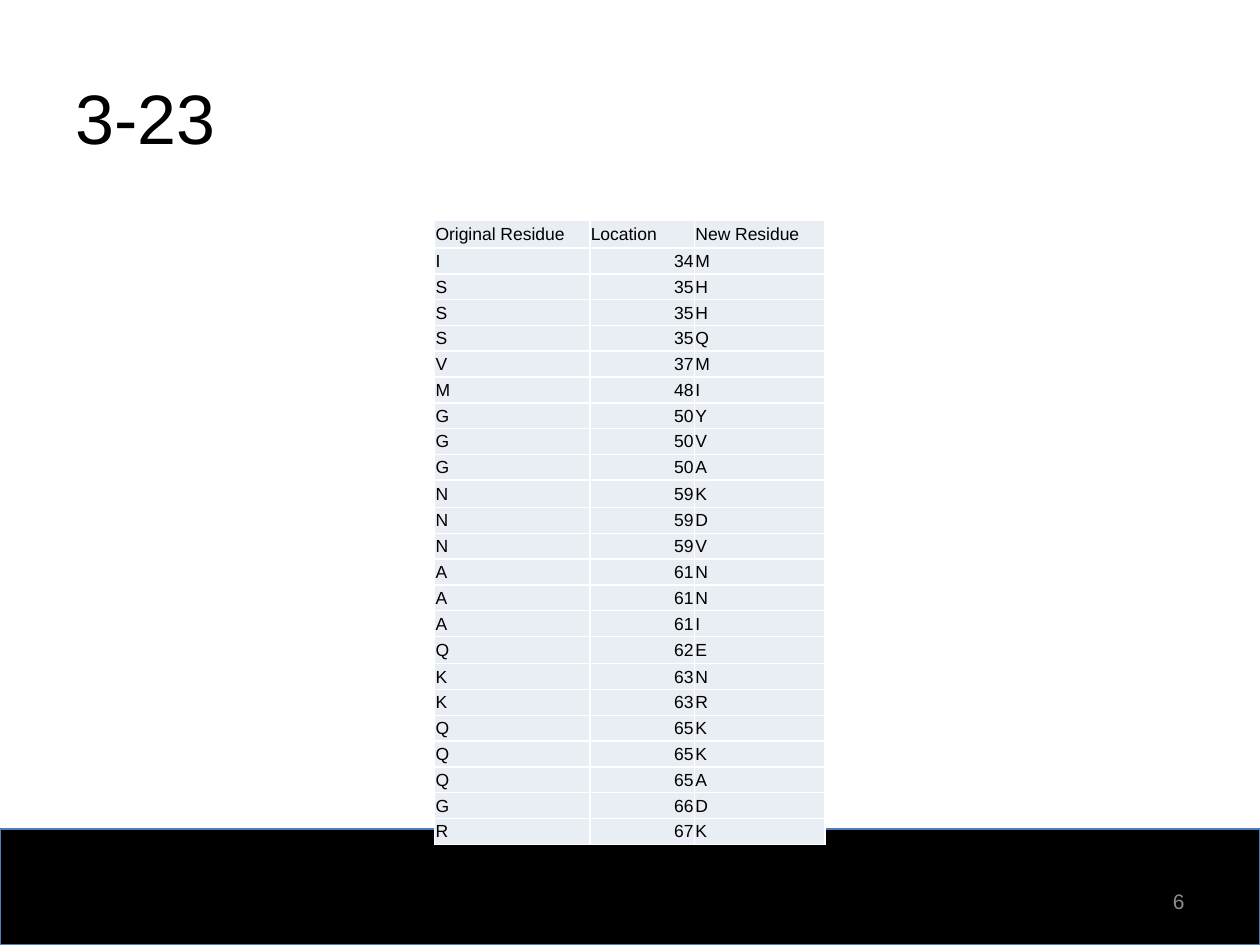
"""Build the 3-23 residue substitution slide."""
from lxml.etree import SubElement
from pptx import Presentation
from pptx.dml.color import RGBColor as Rgb
from pptx.enum.shapes import MSO_SHAPE as Shape
from pptx.enum.text import MSO_ANCHOR as Anchor, PP_ALIGN as Align
from pptx.oxml.ns import qn
from pptx.util import Cm, Pt

TITLE = "3-23"
PAGE_NUMBER = "6"
HEADINGS = ("Original Residue", "Location", "New Residue")
SUBSTITUTIONS = [
    ("I", 34, "M"), ("S", 35, "HHQ"), ("V", 37, "M"), ("M", 48, "I"),
    ("G", 50, "YVA"), ("N", 59, "KDV"), ("A", 61, "NNI"), ("Q", 62, "E"),
    ("K", 63, "NR"), ("Q", 65, "KKA"), ("G", 66, "D"), ("R", 67, "K"),
]
COLUMN_WIDTHS = (3.13, 2.11, 2.63)
ROW_HEIGHT, TALL_HEIGHT = 0.52, 0.55
TALL_ROWS = {0, 10, 16}
THEME = {
    "font": "Arial",
    "text": Rgb.from_string("000000"),
    "muted": Rgb.from_string("8C8C8C"),
    "band": Rgb.from_string("000000"),
    "band_line": Rgb.from_string("4B7EBC"),
    "cell": Rgb.from_string("E9EDF4"),
    "border": "FFFFFF",
    "title_size": Pt(40),
    "table_size": Pt(10),
    "number_size": Pt(12),
}


def write(para, text, size, color, align=Align.LEFT):
    """Put styled text in a paragraph."""
    para.text = text
    para.alignment = align
    para.font.name = THEME["font"]
    para.font.size = size
    para.font.color.rgb = color


def add_text(page, place, text, size, color, align=Align.LEFT):
    """Add a vertically centred text box."""
    frame = page.shapes.add_textbox(*map(Cm, place)).text_frame
    frame.word_wrap = True
    frame.vertical_anchor = Anchor.MIDDLE
    write(frame.paragraphs[0], text, size, color, align)


def add_band(page, deck):
    """Draw the band along the foot of the page."""
    top = Cm(16.71)
    band = page.shapes.add_shape(
        Shape.RECTANGLE, 0, top, deck.slide_width, deck.slide_height - top)
    band.shadow.inherit = False
    band.fill.solid()
    band.fill.fore_color.rgb = THEME["band"]
    band.line.color.rgb = THEME["band_line"]
    band.line.width = Pt(0.75)


def style_cell(cell):
    """Give a cell its borders, fill and margins."""
    properties = cell._tc.get_or_add_tcPr()
    for side in ("lnL", "lnR", "lnT", "lnB"):
        line = SubElement(properties, qn(f"a:{side}"), w=str(Pt(1)))
        fill = SubElement(line, qn("a:solidFill"))
        SubElement(fill, qn("a:srgbClr"), val=THEME["border"])
    cell.fill.solid()
    cell.fill.fore_color.rgb = THEME["cell"]
    cell.margin_left = cell.margin_right = cell.margin_top = Cm(0.02)
    cell.margin_bottom = 0
    cell.vertical_anchor = Anchor.MIDDLE


def add_residue_table(page):
    """Add one row for each substitution."""
    rows = [HEADINGS] + [
        (old, location, new)
        for old, location, replacements in SUBSTITUTIONS
        for new in replacements
    ]
    heights = [TALL_HEIGHT if index in TALL_ROWS else ROW_HEIGHT
               for index in range(len(rows))]
    table = page.shapes.add_table(
        len(rows), len(HEADINGS), Cm(8.76), Cm(4.45),
        Cm(sum(COLUMN_WIDTHS)), Cm(sum(heights))).table
    table.first_row = table.horz_banding = False
    for column, width in zip(table.columns, COLUMN_WIDTHS):
        column.width = Cm(width)
    for row, height, values in zip(table.rows, heights, rows):
        row.height = Cm(height)
        for cell, value in zip(row.cells, values):
            style_cell(cell)
            align = Align.RIGHT if isinstance(value, int) else Align.LEFT
            write(cell.text_frame.paragraphs[0], str(value),
                  THEME["table_size"], THEME["text"], align)


def main():
    """Assemble and save the deck."""
    deck = Presentation()
    deck.slide_width, deck.slide_height = Cm(25.4), Cm(19.05)
    page = deck.slides.add_slide(deck.slide_layouts[6])
    add_band(page, deck)
    add_text(page, (1.27, 0.76, 22.86, 3.18), TITLE,
             THEME["title_size"], THEME["text"])
    add_residue_table(page)
    add_text(page, (18.2, 17.66, 5.93, 1.01), PAGE_NUMBER,
             THEME["number_size"], THEME["muted"], Align.RIGHT)
    deck.save("out.pptx")


if __name__ == "__main__":
    main()
